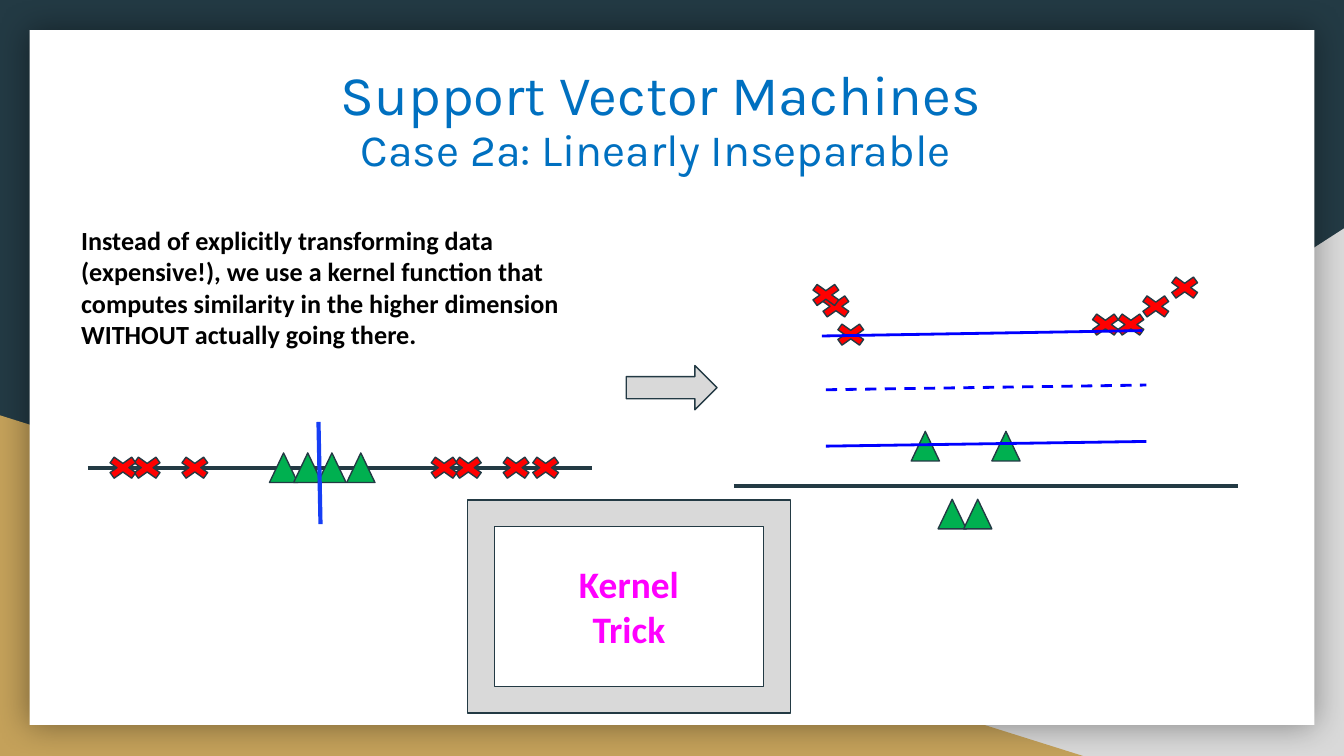
"""Build the kernel trick slide on support vector machines."""
import pptx
import pptx.util
import pptx.dml.color
import pptx.enum.dml
import pptx.enum.shapes
import pptx.enum.text
import pptx.oxml

PX = 4572
INK = {
    "navy": "233A44", "gray": "D9D9D9", "gold": "C4A15A", "white": "FFFFFF",
    "title": "0070C0", "red": "FF0000", "green": "00B050", "cut": "163EF5",
    "blue": "0000FF", "pink": "FF00FF", "black": "000000",
}
NS = 'xmlns:a="http://schemas.openxmlformats.org/drawingml/2006/main"'
KIND = pptx.enum.shapes.MSO_SHAPE
ALIGN = pptx.enum.text.PP_ALIGN
RGB = pptx.dml.color.RGBColor.from_string

deck = pptx.Presentation()
deck.slide_width, deck.slide_height = 2000 * PX, 1125 * PX
slide = deck.slides.add_slide(deck.slide_layouts[5])
slide.background.fill.solid()
slide.background.fill.fore_color.rgb = RGB(INK["navy"])
shapes = slide.shapes
title = shapes.title


def draw(kind, box, fill, edge=True):
    shape = shapes.add_shape(kind, *[n * PX for n in box])
    shape.shadow.inherit = False
    shape.fill.solid()
    shape.fill.fore_color.rgb = RGB(INK[fill])
    if edge:
        shape.line.color.rgb = RGB(INK["navy"])
        shape.line.width = pptx.util.Pt(0.75)
    else:
        shape.line.fill.background()
    return shape


def write(frame, rows, face, ink, bold, align, pad):
    frame.word_wrap = True
    frame.auto_size = pptx.enum.text.MSO_AUTO_SIZE.NONE
    frame.margin_left = frame.margin_right = 20 * PX
    frame.margin_top = frame.margin_bottom = pad * PX
    for i, (text, size) in enumerate(rows):
        para = frame.add_paragraph() if i else frame.paragraphs[0]
        para.alignment = align
        run = para.add_run()
        run.text = text
        run.font.name = face
        run.font.size = pptx.util.Pt(size)
        run.font.bold = bold
        run.font.color.rgb = RGB(INK[ink])


wedge = draw(KIND.RIGHT_TRIANGLE, (784, 340, 1216, 785), "gray", False)
wedge._element.spPr.xfrm.set("flipH", "1")
draw(KIND.RIGHT_TRIANGLE, (0, 618, 1612, 507), "gold", False)
panel = draw(KIND.RECTANGLE, (44, 45, 1912, 1034), "white", False)
panel._element.spPr.find(pptx.oxml.ns.qn("a:effectLst")).append(pptx.oxml.parse_xml(
    f'<a:outerShdw {NS} blurRad="228600" dist="0" dir="0" algn="ctr" rotWithShape="0">'
    '<a:srgbClr val="000000"><a:alpha val="40000"/></a:srgbClr></a:outerShdw>'))

shapes._spTree.append(title._element)
title.left, title.top, title.width, title.height = [n * PX for n in (250, 62, 1468, 210)]
write(title.text_frame,
      [("Support Vector Machines", 30), ("Case 2a: Linearly Inseparable ", 24)],
      "Karla", "title", False, ALIGN.CENTER, 10)
title.text_frame.vertical_anchor = pptx.enum.text.MSO_ANCHOR.BOTTOM
for para in title.text_frame.paragraphs:
    para.line_spacing = 0.9

ROW = 674
marks = {
    "left": (
        [(x, ROW) for x in (188, 152, 259, 666, 630, 737, 781)],
        [(x, ROW) for x in (401, 437, 473, 516)],
    ),
    "right": (
        [(1213, 434), (1198, 417), (1235, 476), (1652, 461),
         (1614, 461), (1689, 434), (1732, 406)],
        [(1356, 642), (1396, 743), (1434, 743), (1476, 642)],
    ),
}
lines = {
    "left": [((131, 697, 881, 697), "navy", 2.25, False)],
    "right": [((1092, 723, 1842, 723), "navy", 2.25, False)],
    "top": [
        ((474, 628, 477, 780), "cut", 2.25, False),
        ((1229, 664, 1706, 657), "blue", 1.5, False),
        ((1223, 500, 1700, 492), "blue", 1.5, False),
        ((1229, 580, 1706, 573), "blue", 1.5, True),
    ],
}
for part, group in lines.items():
    for ends, ink, width, dash in group:
        line = shapes.add_connector(
            pptx.enum.shapes.MSO_CONNECTOR.STRAIGHT, *[n * PX for n in ends])
        line.line.color.rgb = RGB(INK[ink])
        line.line.width = pptx.util.Pt(width)
        if dash:
            line.line.dash_style = pptx.enum.dml.MSO_LINE.DASH
        line._element.spPr.append(pptx.oxml.parse_xml(f"<a:effectLst {NS}/>"))
    crosses, peaks = marks.get(part, ([], []))
    for x, y in crosses:
        draw(KIND.MATH_MULTIPLY, (x, y, 62, 44), "red").adjustments[0] = 0.235
    for x, y in peaks:
        draw(KIND.ISOSCELES_TRIANGLE, (x, y, 42, 44), "green")

draw(KIND.RIGHT_ARROW, (932, 544, 135, 66), "gray")
draw(KIND.FRAME, (696, 744, 480, 317), "gray").adjustments[0] = 0.125

label = shapes.add_textbox(*[n * PX for n in (720, 815, 432, 176)])
write(label.text_frame, [("Kernel", 20), ("Trick", 20)],
      "Calibri", "pink", True, ALIGN.CENTER, 20)
note = shapes.add_textbox(*[n * PX for n in (101, 314, 818, 228)])
write(note.text_frame,
      [("Instead of explicitly transforming data (expensive!), we use a kernel function "
        "that computes similarity in the higher dimension WITHOUT actually going there.", 14)],
      "Calibri", "black", True, ALIGN.LEFT, 20)

deck.save("out.pptx")
